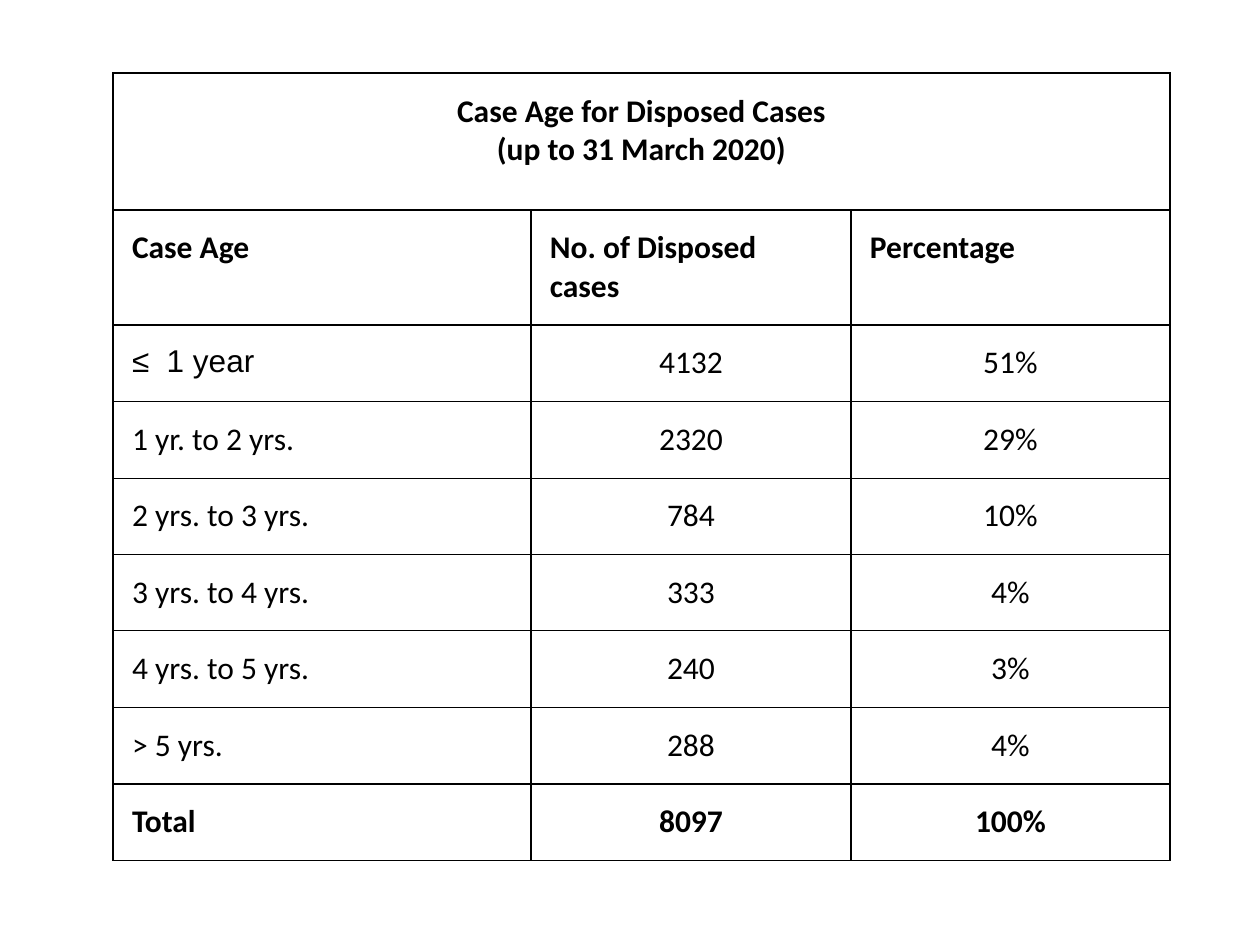
from lxml import etree
from pptx import Presentation
from pptx import util as u
from pptx.dml.color import RGBColor
from pptx.enum import text
from pptx.oxml import ns

PX = 914400 // 126
BLACK = RGBColor(0, 0, 0)
THIN, THICK = u.Pt(0.5), u.Pt(1)
PADDING = 19 * PX

TITLE = ["Case Age for Disposed Cases", "(up to 31 March 2020)"]
HEADINGS = ["Case Age", "No. of Disposed cases", "Percentage"]
AGES = [
    ["≤  1 year", "4132", "51%"],
    ["1 yr. to 2 yrs.", "2320", "29%"],
    ["2 yrs. to 3 yrs.", "784", "10%"],
    ["3 yrs. to 4 yrs.", "333", "4%"],
    ["4 yrs. to 5 yrs.", "240", "3%"],
    ["> 5 yrs.", "288", "4%"],
]
TOTAL = ["Total", "8097", "100%"]
ROWS = [["", "", ""], HEADINGS, *AGES, TOTAL]
FIRST_AGE, LAST_AGE = 2, 1 + len(AGES)
COLUMN_WIDTHS = [418, 320, 319]
ROW_HEIGHTS = [137, 57] + [63] * (len(AGES) + 1)


def add_border(cell, side, width):
    props = cell._tc.get_or_add_tcPr()
    line = etree.SubElement(props, ns.qn(f"a:ln{side}"), w=str(width))
    fill = etree.SubElement(line, ns.qn("a:solidFill"))
    etree.SubElement(fill, ns.qn("a:srgbClr"), val=str(BLACK))


def add_run(paragraph, words, bold, font="Calibri"):
    run = paragraph.add_run()
    run.text = words
    run.font.name = font
    run.font.size = u.Pt(18)
    run.font.bold = bold
    run.font.color.rgb = BLACK


prs = Presentation()
prs.slide_width, prs.slide_height = u.Inches(10), u.Inches(7.5)
slide = prs.slides.add_slide(prs.slide_layouts[6])

# Table grid
frame = slide.shapes.add_table(
    len(ROWS), len(HEADINGS), 113 * PX, 73 * PX, sum(COLUMN_WIDTHS) * PX, 780 * PX)
cases = frame.table
cases.first_row = cases.horz_banding = False
for column, width in zip(cases.columns, COLUMN_WIDTHS):
    column.width = width * PX
for row, height in zip(cases.rows, ROW_HEIGHTS):
    row.height = height * PX
frame.height = 780 * PX

# Cells: thin rules between the ages, thick ones elsewhere
for r, values in enumerate(ROWS):
    is_age = FIRST_AGE <= r <= LAST_AGE
    top = THIN if FIRST_AGE < r <= LAST_AGE else THICK
    bottom = THIN if FIRST_AGE <= r < LAST_AGE else THICK
    for c, value in enumerate(values):
        cell = cases.cell(r, c)
        cell.margin_left = cell.margin_right = PADDING
        cell.margin_top = cell.margin_bottom = PADDING
        for side, width in zip("LRTB", (THICK, THICK, top, bottom)):
            add_border(cell, side, width)
        cell.fill.background()
        if value:
            paragraph = cell.text_frame.paragraphs[0]
            if r >= FIRST_AGE and c > 0:
                paragraph.alignment = text.PP_ALIGN.CENTER
            font = "Arial" if (r, c) == (FIRST_AGE, 0) else "Calibri"
            add_run(paragraph, value, not is_age, font)

# Title across all columns
title = cases.cell(0, 0)
title.merge(cases.cell(0, len(HEADINGS) - 1))
heading = title.text_frame.paragraphs[0]
heading.alignment = text.PP_ALIGN.CENTER
add_run(heading, TITLE[0], True)
heading.add_line_break()
add_run(heading, TITLE[1], True)

prs.save("out.pptx")
